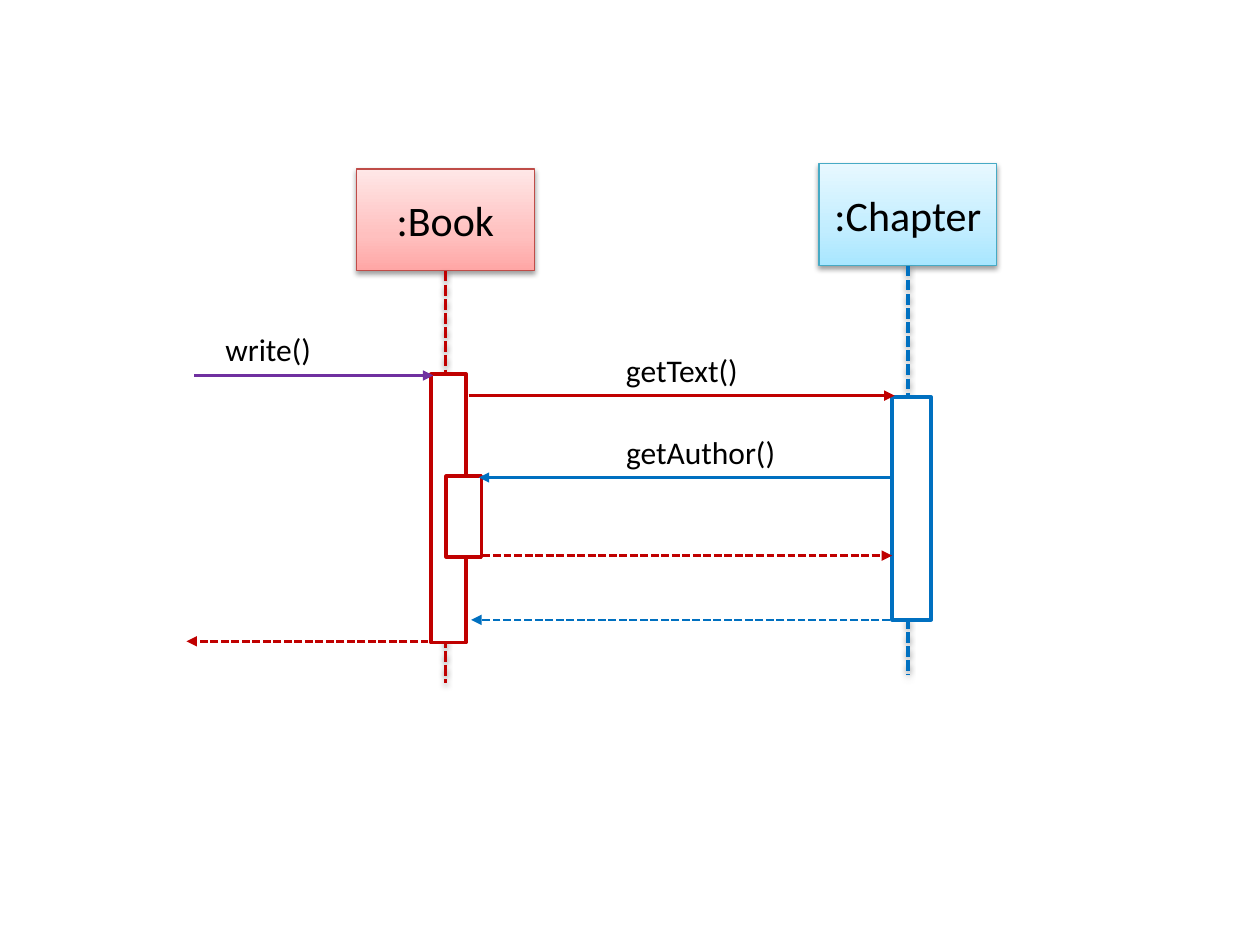
import copy

import lxml.etree
import pptx
import pptx.dml.color
import pptx.enum.dml
import pptx.enum.shapes
import pptx.enum.text
import pptx.oxml
import pptx.oxml.ns
import pptx.util

Inches = pptx.util.Inches
Pt = pptx.util.Pt
RGBColor = pptx.dml.color.RGBColor
qn = pptx.oxml.ns.qn
RECTANGLE = pptx.enum.shapes.MSO_SHAPE.RECTANGLE
DASH = pptx.enum.dml.MSO_LINE.SQUARE_DOT
CENTER = pptx.enum.text.PP_ALIGN.CENTER
LEFT = pptx.enum.text.PP_ALIGN.LEFT

BLACK = RGBColor(0x00, 0x00, 0x00)
WHITE = RGBColor(0xFF, 0xFF, 0xFF)
RED = RGBColor(0xC0, 0x00, 0x00)
BLUE = RGBColor(0x00, 0x70, 0xC0)
PURPLE = RGBColor(0x70, 0x30, 0xA0)
BOOK_EDGE = RGBColor(0xBF, 0x4C, 0x48)
BOOK_STOPS = [RGBColor(0xFF, 0xA6, 0xA5), RGBColor(0xFF, 0xC0, 0xBF), RGBColor(0xFF, 0xE7, 0xE7)]
CHAPTER_EDGE = RGBColor(0x46, 0xAA, 0xC5)
CHAPTER_STOPS = [RGBColor(0xA7, 0xE6, 0xFF), RGBColor(0xC1, 0xED, 0xFF), RGBColor(0xE7, 0xF8, 0xFF)]
SHADOW = (
    '<a:outerShdw xmlns:a="http://schemas.openxmlformats.org/drawingml/2006/main" '
    'blurRad="40000" dist="20000" dir="5400000" rotWithShape="0">'
    '<a:srgbClr val="000000"><a:alpha val="38000"/></a:srgbClr></a:outerShdw>'
)


def write_text(shape, text, size=18, align=LEFT, inset=0.05, wrap=True):
    frame = shape.text_frame
    frame.word_wrap = wrap
    frame.vertical_anchor = pptx.enum.text.MSO_ANCHOR.TOP
    frame.margin_left = frame.margin_right = Inches(0.1)
    frame.margin_top = frame.margin_bottom = Inches(inset)
    paragraph = frame.paragraphs[0]
    paragraph.alignment = align
    run = paragraph.add_run()
    run.text = text
    run.font.name = "Calibri"
    run.font.size = Pt(size)
    run.font.color.rgb = BLACK


def add_line(x1, y1, x2, y2, color, width=1.5, dashed=False, arrow=True):
    connector = slide.shapes.add_connector(
        pptx.enum.shapes.MSO_CONNECTOR.STRAIGHT, x1, y1, x2, y2)
    connector.line.color.rgb = color
    connector.line.width = Pt(width)
    if dashed:
        connector.line.dash_style = DASH
    if arrow:
        outline = connector.line._get_or_add_ln()
        lxml.etree.SubElement(outline, qn("a:tailEnd"), type="triangle")
    lxml.etree.SubElement(connector._element.spPr, qn("a:effectLst"))
    return connector


presentation = pptx.Presentation()
presentation.slide_width = Inches(10)
presentation.slide_height = Inches(7.5)
slide = presentation.slides.add_slide(presentation.slide_layouts[6])

participants = [
    (":Chapter", 6.5, 1.3, CHAPTER_STOPS, CHAPTER_EDGE, BLUE, 5.36),
    (":Book", 2.83, 1.34, BOOK_STOPS, BOOK_EDGE, RED, 5.42),
]
for name, left, top, colors, edge, color, bottom in participants:
    head = slide.shapes.add_shape(
        RECTANGLE, Inches(left), Inches(top), Inches(1.41), Inches(0.81))
    head.fill.gradient()
    head.fill.gradient_angle = 90
    stop_list = head._element.spPr.find(qn("a:gradFill")).find(qn("a:gsLst"))
    stop_list.append(copy.deepcopy(stop_list[0]))
    for stop, position, stop_color in zip(head.fill.gradient_stops, (0, 0.35, 1), colors):
        stop.position = position
        stop.color.rgb = stop_color
    head.line.color.rgb = edge
    head.line.width = Pt(0.75)
    head.shadow.inherit = False
    write_text(head, name, size=24, align=CENTER, inset=0.2, wrap=False)

    center = head.left + head.width // 2
    lifeline = add_line(center, head.top + head.height, center, Inches(bottom),
                        color, width=2, dashed=True, arrow=False)
    lifeline.begin_connect(head, 2)
    for shape in (head, lifeline):
        effects = shape._element.spPr.find(qn("a:effectLst"))
        effects.append(pptx.oxml.parse_xml(SHADOW))

activations = [
    (3.42, 2.97, 0.28, 2.13, RED),
    (7.08, 3.15, 0.31, 1.77, BLUE),
    (3.54, 3.78, 0.28, 0.64, RED),
]
for left, top, width, height, color in activations:
    bar = slide.shapes.add_shape(
        RECTANGLE, Inches(left), Inches(top), Inches(width), Inches(height))
    bar.fill.solid()
    bar.fill.fore_color.rgb = WHITE
    bar.line.color.rgb = color
    bar.line.width = Pt(2)
    bar.shadow.inherit = False

messages = [
    (1.54, 3.44, 2.98, PURPLE, False),
    (3.72, 7.1, 3.14, RED, False),
    (7.09, 3.8, 3.79, BLUE, False),
    (3.83, 7.08, 4.41, RED, True),
    (7.06, 3.74, 4.92, BLUE, True),
    (3.4, 1.48, 5.09, RED, True),
]
for start, end, y, color, dashed in messages:
    add_line(Inches(start), Inches(y), Inches(end), Inches(y), color, dashed=dashed)

labels = [
    ("write()", 1.69, 2.57, 1.13),
    ("getText()", 4.87, 2.74, 1.13),
    ("getAuthor()", 4.87, 3.39, 1.55),
]
for text, left, top, width in labels:
    label = slide.shapes.add_textbox(Inches(left), Inches(top), Inches(width), Inches(0.4))
    write_text(label, text)

presentation.save("out.pptx")
